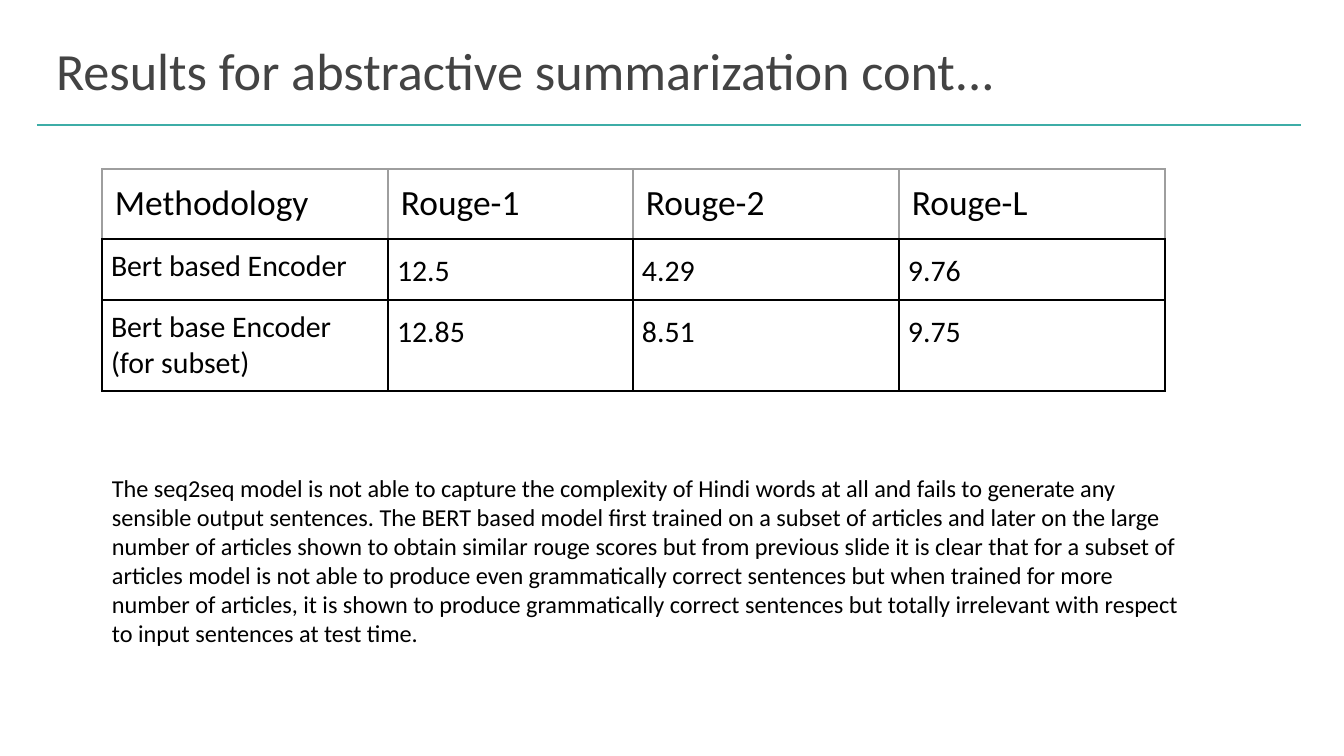
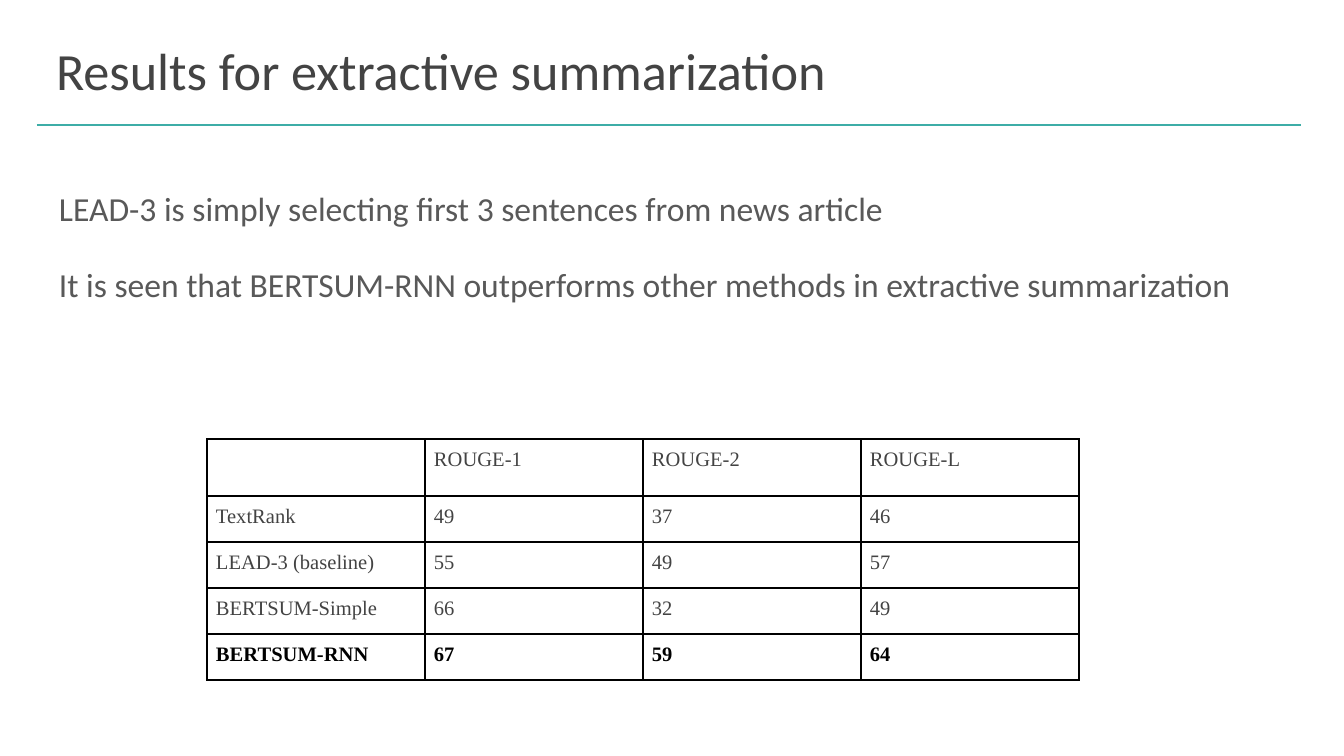
from dataclasses import dataclass

from lxml import etree
from pptx import Presentation
from pptx.dml.color import RGBColor
from pptx.enum.shapes import MSO_CONNECTOR
from pptx.enum.text import MSO_ANCHOR
from pptx.oxml.ns import qn
from pptx.util import Emu, Pt

STRAIGHT = MSO_CONNECTOR.STRAIGHT
TOP = MSO_ANCHOR.TOP
SLIDE_WIDTH, SLIDE_HEIGHT = 1344, 756
SCALE = 9144000 / SLIDE_WIDTH
WIDE_INSET, CELL_INSET = 13, 9


@dataclass(frozen=True)
class Style:
    size: int
    color: str
    font: str = "Calibri"
    bold: bool = False
    line_spacing: float = 1.0


@dataclass(frozen=True)
class Theme:
    accent: str = "3EADA7"
    border: str = "000000"
    soft_border: str = "9E9E9E"
    thin: float = 0.75
    thick: float = 1
    title: Style = Style(28, "434343")
    body: Style = Style(18, "595959", line_spacing=1.15)
    note: Style = Style(13, "000000")
    header: Style = Style(19, "000000")
    method: Style = Style(16, "000000")
    score: Style = Style(16, "000000", line_spacing=1.15)
    serif: Style = Style(11, "434343", "Times New Roman")
    best: Style = Style(11, "000000", "Times New Roman", True)


THEME = Theme()


def px(length):
    return Emu(round(length * SCALE))


def style_text(frame, text, style, gap=0):
    frame.text = text
    for index, para in enumerate(frame.paragraphs):
        para.line_spacing = style.line_spacing
        if index and gap:
            para.space_before = para.space_after = Pt(gap)
        para.font.size = Pt(style.size)
        para.font.name = style.font
        para.font.bold = style.bold
        para.font.color.rgb = RGBColor.from_string(style.color)


def set_insets(target, inset):
    target.margin_left = target.margin_right = px(inset)
    target.margin_top = target.margin_bottom = px(inset)


def add_text(page, box, text, style, gap=0):
    frame = page.shapes.add_textbox(*map(px, box)).text_frame
    frame.word_wrap = True
    frame.vertical_anchor = TOP
    set_insets(frame, WIDE_INSET)
    style_text(frame, text, style, gap)


def add_title_band(page, box, title):
    left, top, width, height = box
    add_text(page, (left + 6, top, width - 12, height - 15), title, THEME.title)
    bottom = px(top + height)
    rule = page.shapes.add_connector(STRAIGHT, px(left), bottom, px(left + width), bottom)
    rule.line.color.rgb = RGBColor.from_string(THEME.accent)
    rule.line.width = Pt(THEME.thin)
    etree.SubElement(rule._element.spPr, qn("a:effectLst"))


def set_borders(cell, soft):
    properties = cell._tc.get_or_add_tcPr()
    for side in "LRTB":
        light = soft and side != "B"
        width = Pt(THEME.thin if light else THEME.thick)
        line = etree.SubElement(properties, qn(f"a:ln{side}"), w=str(width))
        fill = etree.SubElement(line, qn("a:solidFill"))
        color = THEME.soft_border if light else THEME.border
        etree.SubElement(fill, qn("a:srgbClr"), val=color)


def add_score_table(page, origin, widths, heights, rows, pick_style, soft_header=False):
    box = (*origin, sum(widths), sum(heights))
    table = page.shapes.add_table(len(rows), len(widths), *map(px, box)).table
    table.first_row = table.horz_banding = False
    for column, width in zip(table.columns, widths):
        column.width = px(width)
    for row_index, (row, height, texts) in enumerate(zip(table.rows, heights, rows)):
        row.height = px(height)
        soft = soft_header and row_index == 0
        for column_index, (cell, text) in enumerate(zip(row.cells, texts)):
            set_borders(cell, soft)
            cell.fill.background()
            cell.vertical_anchor = TOP
            set_insets(cell, WIDE_INSET if soft else CELL_INSET)
            style_text(cell.text_frame, text, pick_style(row_index, column_index))


def abstractive_style(row, column):
    if row == 0:
        return THEME.header
    return THEME.score if column else THEME.method


def extractive_style(row, column):
    return THEME.best if row == len(EXTRACTIVE_ROWS) - 1 else THEME.serif


ABSTRACTIVE_ROWS = [
    ("Methodology", "Rouge-1", "Rouge-2", "Rouge-L"),
    ("Bert based Encoder", "12.5", "4.29", "9.76"),
    ("Bert base Encoder\n(for subset)", "12.85", "8.51", "9.75"),
]
EXTRACTIVE_ROWS = [
    ("", "ROUGE-1", "ROUGE-2", "ROUGE-L"),
    ("TextRank", "49", "37", "46"),
    ("LEAD-3 (baseline)", "55", "49", "57"),
    ("BERTSUM-Simple", "66", "32", "49"),
    ("BERTSUM-RNN", "67", "59", "64"),
]
ABSTRACTIVE_NOTE = (
    "The seq2seq model is not able to capture the complexity of Hindi words at all "
    "and fails to generate any sensible output sentences. The BERT based model first "
    "trained on a subset of articles and later on the large number of articles shown "
    "to obtain similar rouge scores but from previous slide it is clear that for a "
    "subset of articles model is not able to produce even grammatically correct "
    "sentences but when trained for more number of articles, it is shown to produce "
    "grammatically correct sentences but totally irrelevant with respect to input "
    "sentences at test time."
)
EXTRACTIVE_POINTS = (
    "LEAD-3 is simply selecting first 3 sentences from news article\n"
    "It is seen that BERTSUM-RNN outperforms other methods in extractive summarization"
)


def add_page(deck, title):
    page = deck.slides.add_slide(deck.slide_layouts[6])
    add_title_band(page, (37, 25, 1264, 100), title)
    return page


def add_abstractive_page(deck):
    page = add_page(deck, "Results for abstractive summarization cont...")
    add_score_table(page, (102, 169), (286, 245, 266, 266), (70, 61, 91),
                    ABSTRACTIVE_ROWS, abstractive_style, soft_header=True)
    add_text(page, (99, 460, 1099, 218), ABSTRACTIVE_NOTE, THEME.note)


def add_extractive_page(deck):
    page = add_page(deck, "Results for extractive summarization")
    add_text(page, (46, 169, 1253, 503), EXTRACTIVE_POINTS, THEME.body, gap=16)
    add_score_table(page, (207, 439), [218] * 4, [57] + [46] * 4,
                    EXTRACTIVE_ROWS, extractive_style)


def main():
    deck = Presentation()
    deck.slide_width, deck.slide_height = px(SLIDE_WIDTH), px(SLIDE_HEIGHT)
    add_abstractive_page(deck)
    add_extractive_page(deck)
    deck.save("out.pptx")


if __name__ == "__main__":
    main()
